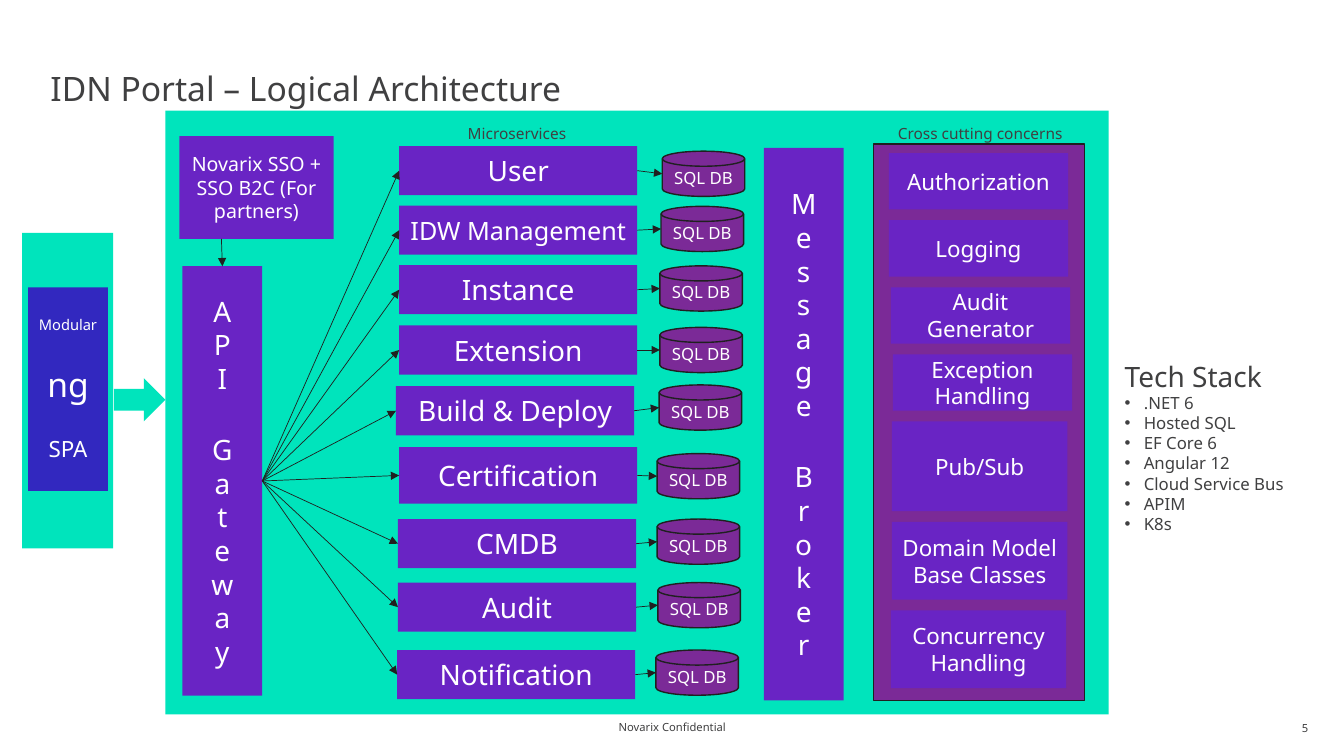
import pptx
import pptx.dml.color
import pptx.enum.shapes
import pptx.enum.text
import pptx.oxml
import pptx.oxml.ns
import pptx.util

Cm, Pt = pptx.util.Cm, pptx.util.Pt
SHAPE = pptx.enum.shapes.MSO_SHAPE
ALIGN = pptx.enum.text.PP_ALIGN
ANCHOR = pptx.enum.text.MSO_ANCHOR

FONT = "Noto Sans"
TEAL, VIOLET, PLUM, INDIGO = "00E4BC", "6924C4", "7B2A97", "3228BF"
INK, GREY, WHITE = "202020", "404041", "FFFFFF"
TOP, LEFT, RIGHT = 0, 1, 3  # connection sites of a rectangle

# name, left offset, top, height, text size, database left, database top
SERVICES = [
    ("User", 0.08, 0, 1.24, 20, 6.71, 0.13),
    ("IDW Management", 0.08, 1.5, 1.24, 18, 6.68, 1.52),
    ("Instance", 0.08, 3, 1.24, 20, 6.65, 3.02),
    ("Extension", 0.08, 4.52, 1.24, 20, 6.65, 4.57),
    ("Build & Deploy", 0, 6.05, 1.24, 20, 6.63, 6.02),
    ("Certification", 0.08, 7.59, 1.42, 20, 6.58, 7.75),
    ("CMDB", 0.05, 9.4, 1.24, 20, 6.58, 9.4),
    ("Audit", 0.05, 11, 1.24, 20, 6.6, 11),
    ("Notification", 0.03, 12.7, 1.24, 20, 6.55, 12.7),
]

# name, left offset, width, height
CONCERNS = [
    ("Authorization", 0.38, 4.52, 1.42),
    ("Logging", 0.38, 4.52, 1.42),
    ("Audit Generator", 0.43, 4.52, 1.42),
    ("Exception Handling", 0.48, 4.52, 1.42),
    ("Pub/Sub", 0.46, 4.42, 2.26),
    ("Domain Model Base Classes", 0.46, 4.42, 1.96),
    ("Concurrency Handling", 0.43, 4.42, 1.96),
]

TECHNOLOGIES = [".NET 6", "Hosted SQL", "EF Core 6", "Angular 12",
                "Cloud Service Bus", "APIM", "K8s"]


def rgb(value):
    return pptx.dml.color.RGBColor.from_string(value)


def within(box, left, top, width, height):
    return box[0] + left, box[1] + top, width, height


def lengths(box):
    return [Cm(value) for value in box]


def write(frame, text, size=20, color=WHITE, align=ALIGN.CENTER, before=0,
          spacing=None, bullet=None):
    """Add one formatted paragraph to a text frame."""
    paragraph = frame.paragraphs[0] if not frame.text else frame.add_paragraph()
    paragraph.alignment = align
    paragraph.space_before = Pt(before)
    if spacing:
        paragraph.line_spacing = spacing
    if bullet is not None:
        properties = paragraph._p.get_or_add_pPr()
        indent = Cm(0.48) if bullet else 0
        properties.set("marL", str(indent))
        properties.set("indent", str(-indent))
        mark = pptx.oxml.parse_xml(
            '<a:%s %s/>' % ('buChar char="•"' if bullet else "buNone",
                            pptx.oxml.ns.nsdecls("a")))
        properties.append(mark)
    run = paragraph.add_run()
    run.text = text
    run.font.name, run.font.size = FONT, Pt(size)
    run.font.color.rgb = rgb(color)


def block(slide, box, fill, text="", size=20, kind=SHAPE.RECTANGLE, outline=None):
    part = slide.shapes.add_shape(kind, *lengths(box))
    part.shadow.inherit = False
    part.fill.solid()
    part.fill.fore_color.rgb = rgb(fill)
    if outline:
        part.line.color.rgb = rgb(outline)
        part.line.width = Pt(1)
    else:
        part.line.fill.background()
    part.text_frame.word_wrap = True
    part.text_frame.vertical_anchor = ANCHOR.MIDDLE
    if text:
        write(part.text_frame, text, size)
    return part


def label(slide, box, text, size=11, align=ALIGN.CENTER, anchor=ANCHOR.TOP):
    frame = slide.shapes.add_textbox(*lengths(box)).text_frame
    frame.word_wrap = True
    frame.vertical_anchor = anchor
    write(frame, text, size, GREY, align)
    return frame


def arrow(slide, start, end):
    link = slide.shapes.add_connector(
        pptx.enum.shapes.MSO_CONNECTOR.STRAIGHT, *start, *end)
    link.line.color.rgb = rgb(INK)
    link.line.width = Pt(0.5)
    namespace = pptx.oxml.ns.nsdecls("a")
    link.line._get_or_add_ln().append(
        pptx.oxml.parse_xml(f'<a:tailEnd {namespace} type="triangle"/>'))
    link._element.spPr.append(pptx.oxml.parse_xml(f"<a:effectLst {namespace}/>"))
    return link


def letter_column(slide, box, words):
    """A tall bar with its words written downwards."""
    column = block(slide, box, VIOLET)
    for number, word in enumerate(words.split()):
        for position, letter in enumerate(word):
            write(column.text_frame, letter,
                  before=27 if number and not position else 0)
    return column


def client(slide, box):
    block(slide, box, TEAL)
    app = block(slide, within(box, 0.15, 1.37, 2.01, 5.13), INDIGO)
    write(app.text_frame, "Modular", 10.5)
    write(app.text_frame, "ng", 24, before=22)
    write(app.text_frame, "SPA", 16, before=22)
    block(slide, within(box, 2.31, 3.66, 1.3, 1.09), TEAL, kind=SHAPE.RIGHT_ARROW)


def microservices(slide, box, gateway):
    label(slide, within(box, 0.13, -0.68, 5.84, 0.74), "Microservices")
    for name, left, top, height, size, db_left, db_top in SERVICES:
        service = block(slide, within(box, left, top, 6, height), VIOLET, name, size)
        database = block(slide, within(box, db_left, db_top, 2.08, 1.14), PLUM,
                         "SQL DB", 12, SHAPE.FLOWCHART_MAGNETIC_DISK, INK)
        # Gateway to service, service to database
        request = arrow(slide, (0, 0), (0, 0))
        request.begin_connect(gateway, RIGHT)
        request.end_connect(service, LEFT)
        query = arrow(slide, (0, 0),
                      (database.left, database.top + database.height // 2))
        query.begin_connect(service, RIGHT)


def cross_cutting(slide, box):
    block(slide, box, PLUM, outline=INK)
    label(slide, within(box, 0.03, -0.63, 5.31, 0.74), "Cross cutting concerns")
    top, gap = 0.23, 0.27
    for name, left, width, height in CONCERNS:
        block(slide, within(box, left, top, width, height), VIOLET, name, 16)
        top += height + gap


def portal(slide, box):
    block(slide, box, TEAL)
    # Sign-in and gateway
    gateway = letter_column(slide, within(box, 0.43, 3.92, 2.01, 10.82), "API Gateway")
    sign_in = block(slide, within(box, 0.35, 0.64, 3.89, 2.59), VIOLET,
                    "Novarix SSO +", 14)
    write(sign_in.text_frame, "SSO B2C (For partners)", 14)
    token = arrow(slide, (Cm(box[0] + 1.41), sign_in.top + sign_in.height), (0, 0))
    token.end_connect(gateway, TOP)
    # Services, broker and shared concerns
    microservices(slide, within(box, 5.81, 0.89, 8.79, 13.94), gateway)
    letter_column(slide, within(box, 15.08, 0.94, 2.01, 13.92), "Message Broker")
    cross_cutting(slide, within(box, 17.85, 0.84, 5.31, 14.02))


def heading(slide, box):
    title = slide.shapes.title
    title.left, title.top, title.width, title.height = lengths(box)
    frame = title.text_frame
    frame.margin_left = frame.margin_right = frame.margin_top = frame.margin_bottom = 0
    frame.vertical_anchor = ANCHOR.MIDDLE
    frame.auto_size = pptx.enum.text.MSO_AUTO_SIZE.NONE
    write(frame, "IDN Portal – Logical Architecture", 24, GREY, ALIGN.LEFT, spacing=0.9)


def tech_stack(slide, box):
    stack = slide.placeholders[1]
    stack.left, stack.top, stack.width, stack.height = lengths(box)
    stack.text_frame.auto_size = pptx.enum.text.MSO_AUTO_SIZE.NONE
    write(stack.text_frame, "Tech Stack", 20, GREY, ALIGN.LEFT, bullet=False)
    for technology in TECHNOLOGIES:
        write(stack.text_frame, technology, 12, GREY, ALIGN.LEFT, bullet=True)


def footer(slide, box):
    label(slide, within(box, 0, 0, 11.43, 0.61), "Novarix Confidential", 8,
          anchor=ANCHOR.MIDDLE)
    number = label(slide, within(box, box[2] - 0.38, 0.02, 0.38, 0.61), "5", 8,
                   ALIGN.RIGHT, ANCHOR.MIDDLE)
    number.margin_left = number.margin_right = 0
    number.word_wrap = False


def main():
    deck = pptx.Presentation()
    deck.slide_width, deck.slide_height = Cm(33.87), Cm(19.05)
    slide = deck.slides.add_slide(deck.slide_layouts[1])
    heading(slide, (1.27, 1.52, 28.7, 1.52))
    client(slide, (0.56, 5.87, 2.29, 7.95))
    portal(slide, (4.17, 2.79, 23.77, 15.21))
    tech_stack(slide, (28.09, 8.92, 5.21, 4.7))
    footer(slide, (11.23, 18.01, 21.74, 0.61))
    deck.save("out.pptx")


if __name__ == "__main__":
    main()
